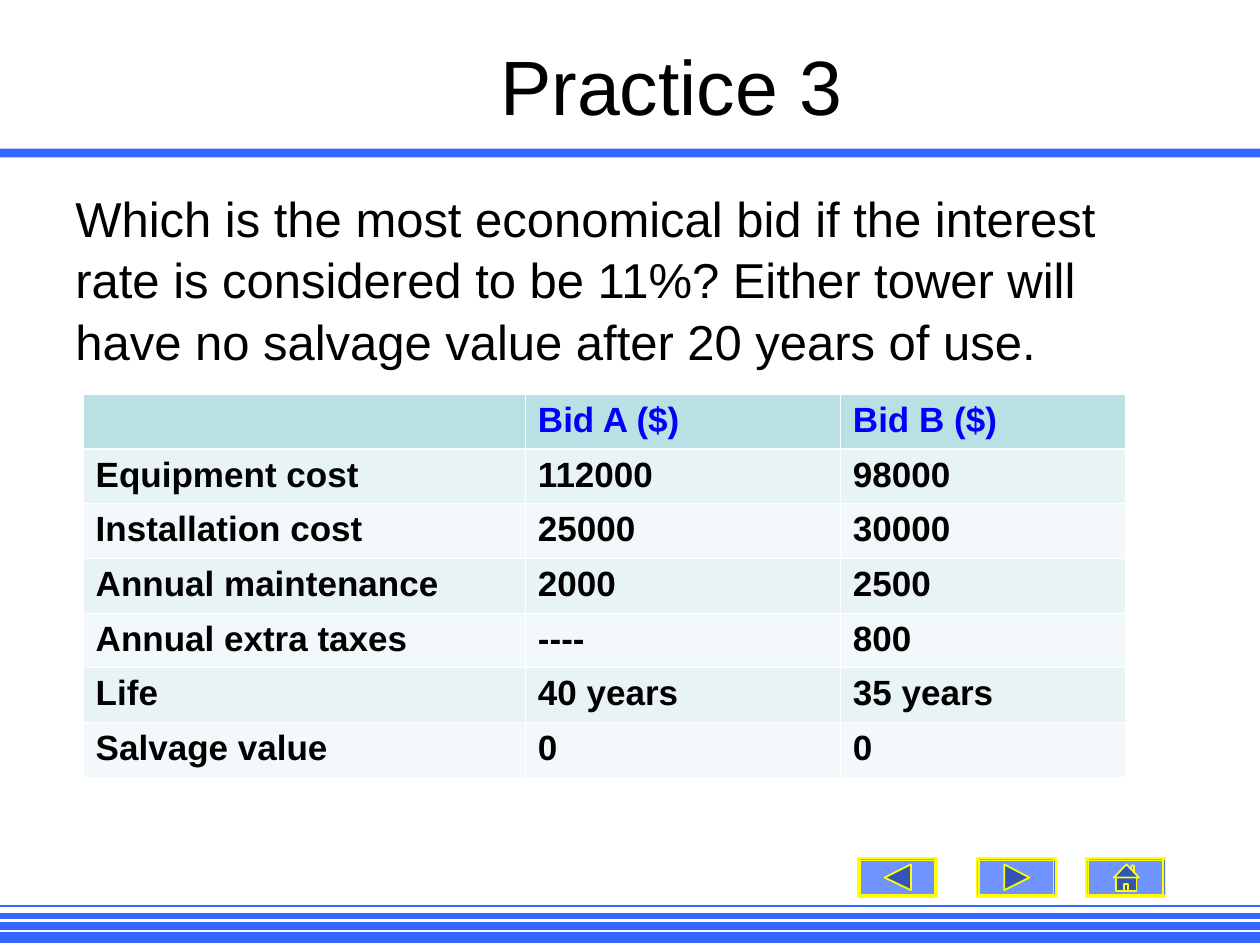
from lxml import etree
from pptx import Presentation
from pptx import util as u
from pptx.dml.color import RGBColor
from pptx.enum import shapes, text
from pptx.oxml.ns import qn

BLUE = RGBColor(0x33, 0x66, 0xFF)
GLYPH = RGBColor(0x33, 0x55, 0xB8)
YELLOW = RGBColor(0xFF, 0xFF, 0x00)
BLACK = RGBColor(0, 0, 0)
WHITE = RGBColor(0xFF, 0xFF, 0xFF)
HEAD_TEXT = RGBColor(0, 0, 0xFF)
HEAD_FILL = RGBColor(0xBB, 0xE0, 0xE3)
BANDS = (RGBColor(0xE7, 0xF3, 0xF4), RGBColor(0xF3, 0xF9, 0xFA))

BIDS = [
    ("", "Bid A ($)", "Bid B ($)"),
    ("Equipment cost", "112000", "98000"),
    ("Installation cost", "25000", "30000"),
    ("Annual maintenance", "2000", "2500"),
    ("Annual extra taxes", "----", "800"),
    ("Life", "40 years", "35 years"),
    ("Salvage value", "0", "0"),
]
BACK = [[(2.1, 1.55), (4.2, 0.5), (4.2, 2.55)]]
NEXT = [[(2.2, 0.5), (4.2, 1.55), (2.2, 2.55)]]
HOME = [
    [(3.6, 0.6), (3.8, 0.6), (3.8, 1.2), (3.6, 1)],
    [(2.4, 1.55), (4, 1.55), (4, 2.6), (2.4, 2.6)],
    [(3, 2.05), (3.35, 2.05), (3.35, 2.6), (3, 2.6)],
    [(3.2, 0.5), (4.2, 1.55), (2.2, 1.55)],
]


class Deck:
    columns, rows, font = 100, 75, "Arial"

    def __init__(self):
        self.prs = Presentation()
        self.prs.slide_width, self.prs.slide_height = u.Inches(10), u.Inches(7.5)
        self.s = self.prs.slides.add_slide(self.prs.slide_layouts[5])

    def x(self, columns):
        return u.Emu(round(self.prs.slide_width * columns / self.columns))

    def y(self, rows):
        return u.Emu(round(self.prs.slide_height * rows / self.rows))

    def box(self, left, top, width, height):
        return self.x(left), self.y(top), self.x(width), self.y(height)

    def add_words(self, p, words, size, color=BLACK, bold=False):
        r = p.add_run()
        r.text = words
        r.font.name, r.font.size, r.font.bold = self.font, u.Pt(size), bold
        r.font.color.rgb = color

    def paint(self, sp, fill, line=None):
        sp.shadow.inherit = False
        sp.fill.solid()
        sp.fill.fore_color.rgb = fill
        if line is None:
            sp.line.fill.background()
        else:
            sp.line.color.rgb, sp.line.width = line, u.Pt(1)

    def title(self, words, *area):
        sp = self.s.shapes.title
        sp.left, sp.top, sp.width, sp.height = self.box(*area)
        tf = sp.text_frame
        tf.vertical_anchor = text.MSO_ANCHOR.MIDDLE
        p = tf.paragraphs[0]
        p.alignment = text.PP_ALIGN.CENTER
        self.add_words(p, words, 44)

    def question(self, words, *area):
        tf = self.s.shapes.add_textbox(*self.box(*area)).text_frame
        tf.word_wrap = True
        p = tf.paragraphs[0]
        p.line_spacing = 1.05
        self.add_words(p, words, 28)

    def bar(self, *area):
        sp = self.s.shapes.add_shape(shapes.MSO_SHAPE.RECTANGLE, *self.box(*area))
        self.paint(sp, BLUE)

    def rule(self, row, weight):
        sp = self.s.shapes.add_connector(
            shapes.MSO_CONNECTOR.STRAIGHT, 0, self.y(row), self.x(self.columns), self.y(row))
        sp.line.color.rgb, sp.line.width = BLUE, u.Pt(weight)
        etree.SubElement(sp._element.spPr, qn("a:effectLst"))

    def button(self, left, top, glyph):
        sp = self.s.shapes.add_shape(shapes.MSO_SHAPE.BEVEL, *self.box(left, top, 6.3, 3.1))
        sp.adjustments[0] = 0.06
        self.paint(sp, BLUE, YELLOW)
        color = sp._element.spPr.find(qn("a:solidFill"))[0]
        etree.SubElement(color, qn("a:alpha"), val="70000")
        for outline in glyph:
            points = [(self.x(left + dx), self.y(top + dy)) for dx, dy in outline]
            fb = self.s.shapes.build_freeform(*points[0])
            fb.add_line_segments(points[1:], close=True)
            self.paint(fb.convert_to_shape(), GLYPH, YELLOW)

    def border(self, cell, side, weight):
        ln = etree.SubElement(cell._tc.get_or_add_tcPr(), qn("a:" + side), w=str(u.Pt(weight)))
        fill = etree.SubElement(ln, qn("a:solidFill"))
        etree.SubElement(fill, qn("a:srgbClr"), val=str(WHITE))

    def table(self, data, left, top, widths, height):
        frame = self.s.shapes.add_table(
            len(data), len(widths), *self.box(left, top, sum(widths), height * len(data)))
        tbl = frame.table
        for column, width in zip(tbl.columns, widths):
            column.width = self.x(width)
        for i, values in enumerate(data):
            tbl.rows[i].height = self.y(height)
            for j, value in enumerate(values):
                cell = tbl.cell(i, j)
                for side in ("lnL", "lnR", "lnT", "lnB"):
                    thick = (i, side) in ((0, "lnB"), (1, "lnT"))
                    self.border(cell, side, 1.47 if thick else 0.45)
                cell.fill.solid()
                cell.fill.fore_color.rgb = BANDS[(i - 1) % 2] if i else HEAD_FILL
                if value:
                    p = cell.text_frame.paragraphs[0]
                    self.add_words(p, value, 20, BLACK if i else HEAD_TEXT, True)


def main():
    d = Deck()
    d.bar(0, 11.8, 100, 0.7)
    for row, weight in ((74.4, 6), (73.5, 4.5), (72.7, 3), (71.9, 1.5)):
        d.rule(row, weight)
    for left, glyph in ((68.1, BACK), (77.5, NEXT), (86.2, HOME)):
        d.button(left, 68.1, glyph)
    d.title("Practice 3", 8.3, 2.8, 90, 7.9)
    d.question("Which is the most economical bid if the interest rate is considered to be 11%? "
               "Either tower will have no salvage value after 20 years of use.",
               5, 14.2, 85.9, 15)
    d.table(BIDS, 6.6, 31.3, (35.1, 25, 22.6), 4.33)
    d.prs.save("out.pptx")


if __name__ == "__main__":
    main()
